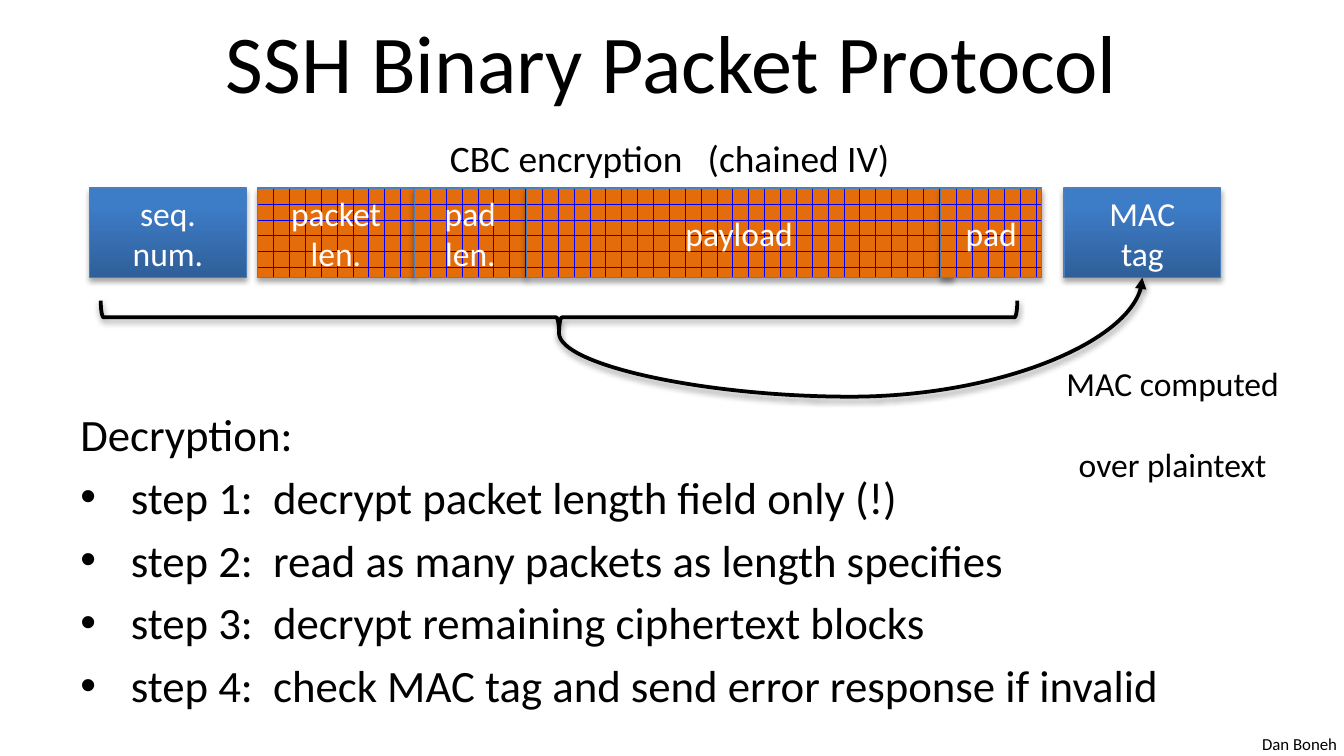
from lxml.etree import SubElement
from pptx import Presentation
from pptx.dml.color import RGBColor as RGB
from pptx.enum.dml import MSO_PATTERN as PAT
from pptx.enum.shapes import MSO_CONNECTOR as CONN, MSO_SHAPE as SHAPE
from pptx.enum.text import MSO_ANCHOR as ANCHOR, PP_ALIGN as ALIGN
from pptx.oxml.ns import qn
from pptx.util import Pt

# Content
TITLE = "SSH Binary Packet Protocol"
CIPHER = "CBC encryption   (chained IV)"
FIELDS = [  # lines, left, width, encrypted
    (["seq.", "num."], 48, 84, False),
    (["packet", "len."], 138, 84, True),
    (["pad", "len."], 222, 60, True),
    (["payload"], 282, 228, True),
    (["pad"], 504, 54, True),
    (["MAC", "tag"], 570, 84, False),
]
NOTE = ["MAC computed", "over plaintext"]
HEAD = "Decryption:"
STEPS = [
    "decrypt packet length field only (!)",
    "read as many packets as length specifies",
    "decrypt remaining ciphertext blocks",
    "check MAC tag and send error response if invalid",
]
AUTHOR = "Dan Boneh"

FONT = "Calibri"
HEX = {"text": "000000", "light": "FFFFFF", "edge": "4B7EBC", "brick": "0000FF",
       "orange": "E46C0A", "dark": "2F5F99", "blue": "3D7CC7"}
ROW, TALL = 100.8, 48


def color(name):
    return RGB.from_string(HEX[name])


def write(frame, lines, size, ink="text", align=ALIGN.CENTER, gap=0):
    for i, line in enumerate(lines):
        par = frame.paragraphs[0] if i == 0 else frame.add_paragraph()
        par.alignment = align
        if i and gap:
            par.space_before = Pt(gap)
        run = par.add_run()
        run.text = line
        run.font.name, run.font.size = FONT, Pt(size)
        run.font.color.rgb = color(ink)


def label(x, y, w, h, lines, size, wrap=False, **style):
    box = slide.shapes.add_textbox(Pt(x), Pt(y), Pt(w), Pt(h))
    box.text_frame.word_wrap = wrap
    write(box.text_frame, lines, size, **style)
    return box.text_frame


def shade(part, alpha, dist):
    props = part.element.spPr
    for old in props.findall(qn("a:effectLst")):
        props.remove(old)
    glow = SubElement(SubElement(props, qn("a:effectLst")), qn("a:outerShdw"),
                      blurRad=str(Pt(3.1)), dist=str(Pt(dist)),
                      dir="5400000", rotWithShape="0")
    tint = SubElement(glow, qn("a:srgbClr"), val=HEX["text"])
    SubElement(tint, qn("a:alpha"), val=str(alpha * 1000))


def stroke(part, name, width):
    part.line.color.rgb = color(name)
    part.line.width = Pt(width)


def bullet(par):
    props = par._p.get_or_add_pPr()
    props.set("marL", str(Pt(27)))
    props.set("indent", str(Pt(-27)))
    SubElement(props, qn("a:buFont"), typeface="Arial")
    SubElement(props, qn("a:buChar"), char="•")


def field(lines, x, w, secret):
    box = slide.shapes.add_shape(SHAPE.RECTANGLE, Pt(x), Pt(ROW), Pt(w), Pt(TALL))
    fill = box.fill
    if secret:
        fill.patterned()
        fill.pattern = PAT.HORIZONTAL_BRICK
        fill.fore_color.rgb, fill.back_color.rgb = color("brick"), color("orange")
    else:
        fill.gradient()
        fill.gradient_angle = 90
        for stop, name, pos in zip(fill.gradient_stops, ("dark", "blue"), (0, 0.8)):
            stop.color.rgb, stop.position = color(name), pos
    stroke(box, "edge", 0.75)
    shade(box, 35, 1.8)
    box.text_frame.word_wrap = True
    box.text_frame.vertical_anchor = ANCHOR.MIDDLE
    write(box.text_frame, lines, 18, "light")


deck = Presentation()
deck.slide_width, deck.slide_height = Pt(720), Pt(405)
slide = deck.slides.add_slide(deck.slide_layouts[6])

# Author and title
label(669, 389.5, 54.5, 18, [AUTHOR], 9, align=ALIGN.LEFT)
title = label(36, -1.5, 648, 67.5, [TITLE], 44, wrap=True)
title.vertical_anchor = ANCHOR.MIDDLE

# Decryption steps
steps = [f"step {n}:  {step}" for n, step in enumerate(STEPS, 1)]
body = label(36, 214.5, 648, 190.5, [HEAD] + steps, 24, wrap=True,
             align=ALIGN.LEFT, gap=4.8)
for par in body.paragraphs[1:]:
    bullet(par)

# Packet fields
for item in FIELDS:
    field(*item)
label(234, 69, 252, 31.5, [CIPHER], 20, align=ALIGN.LEFT)

# Brace under the authenticated fields
brace = slide.shapes.add_shape(SHAPE.LEFT_BRACE, Pt(290.5), Pt(-75.5), Pt(18), Pt(491))
brace.rotation = 270
brace.fill.background()
stroke(brace, "text", 2)
shade(brace, 38, 1.6)

# Curve from the brace tip to the MAC tag, drawn upright and turned a quarter
x1, y1, x2, y2 = 299.5, 178.5, 612, ROW + TALL
mx, my = (x1 + x2) / 2, (y1 + y2) / 2
dx, dy = (y1 - y2) / 2, (x2 - x1) / 2
curve = slide.shapes.add_connector(CONN.CURVE, Pt(mx + dx), Pt(my + dy),
                                   Pt(mx - dx), Pt(my - dy))
props = curve.element.spPr
props.find(qn("a:xfrm")).set("rot", "5400000")
bends = props.find(qn("a:prstGeom")).find(qn("a:avLst"))
SubElement(bends, qn("a:gd"), name="adj1", fmla="val -114700")
stroke(curve, "text", 2)
SubElement(curve.line._get_or_add_ln(), qn("a:tailEnd"), type="triangle")
shade(curve, 38, 1.6)

label(563, 191, 130.5, 51, NOTE, 18, gap=21.6)

deck.save("out.pptx")
